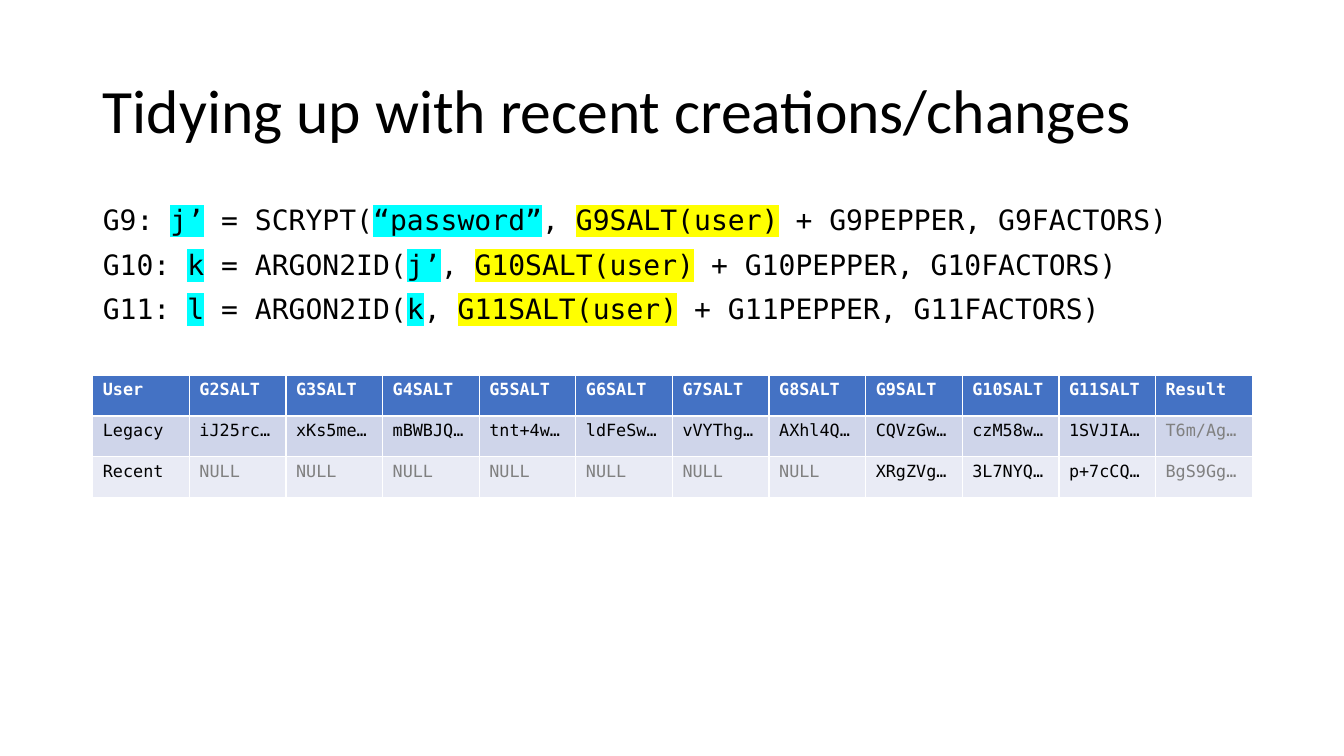
"""Build the slide on password hash generations and the salts kept for each user."""
from lxml import etree
from pptx import Presentation
from pptx import util as u
from pptx.dml.color import RGBColor
from pptx.enum import text
from pptx.oxml.ns import qn

COLORS = {
    "black": "000000", "white": "FFFFFF", "grey": "808080",
    "cyan": "00FFFF", "yellow": "FFFF00",
    "header": "4472C4", "legacy": "CFD5EA", "recent": "E9EBF5",
}
MONO = "DejaVu Sans Mono"
LEFT, WIDTH = u.Inches(0.92), u.Inches(11.5)


def add_run(paragraph, content, size=20, font=MONO, color="black", bold=False, highlight=None):
    run = paragraph.add_run()
    run.text = content
    run.font.size = u.Pt(size)
    run.font.bold = bold
    run.font.color.rgb = RGBColor.from_string(COLORS[color])
    if highlight:
        marker = etree.SubElement(run.font._element, qn("a:highlight"))
        etree.SubElement(marker, qn("a:srgbClr"), val=COLORS[highlight])
    run.font.name = font


presentation = Presentation()
presentation.slide_width, presentation.slide_height = u.Inches(13.33), u.Inches(7.5)
slide = presentation.slides.add_slide(presentation.slide_layouts[1])

title, body = slide.shapes.title, slide.placeholders[1]
for placeholder, top, height, anchor in (
    (title, 0.4, 1.45, text.MSO_ANCHOR.MIDDLE),
    (body, 2, 4.76, text.MSO_ANCHOR.TOP),
):
    placeholder.left, placeholder.top = LEFT, u.Inches(top)
    placeholder.width, placeholder.height = WIDTH, u.Inches(height)
    placeholder.text_frame.auto_size = text.MSO_AUTO_SIZE.NONE
    placeholder.text_frame.vertical_anchor = anchor

heading = title.text_frame.paragraphs[0]
heading.alignment = text.PP_ALIGN.LEFT
heading.line_spacing = 0.9
add_run(heading, "Tidying up with recent creations/changes", size=44, font="Calibri")

generations = [
    ("G9", "j’", "SCRYPT", "“password”"),
    ("G10", "k", "ARGON2ID", "j’"),
    ("G11", "l", "ARGON2ID", "k"),
]
for index, (generation, result, function, secret) in enumerate(generations):
    paragraph = body.text_frame.add_paragraph() if index else body.text_frame.paragraphs[0]
    paragraph.line_spacing = 0.9
    paragraph.space_before = u.Pt(10 if index else 0)
    properties = paragraph._p.get_or_add_pPr()
    properties.set("marL", "0")
    properties.set("indent", "0")
    etree.SubElement(properties, qn("a:buNone"))
    for content, highlight in (
        (f"{generation}: ", None),
        (result, "cyan"),
        (f" = {function}(", None),
        (secret, "cyan"),
        (", ", None),
        (f"{generation}SALT(user)", "yellow"),
        (f" + {generation}PEPPER, {generation}FACTORS)", None),
    ):
        add_run(paragraph, content, highlight=highlight)

rows = {
    "header": ["User", *(f"G{number}SALT" for number in range(2, 12)), "Result"],
    "legacy": ["Legacy", "iJ25rc…", "xKs5me…", "mBWBJQ…", "tnt+4w…", "ldFeSw…", "vVYThg…",
               "AXhl4Q…", "CQVzGw…", "czM58w…", "1SVJIA…", "T6m/Ag…"],
    "recent": ["Recent", *["NULL"] * 7, "XRgZVg…", "3L7NYQ…", "p+7cCQ…", "BgS9Gg…"],
}
column_count = len(rows["header"])
table = slide.shapes.add_table(
    len(rows), column_count, LEFT, u.Inches(3.72), WIDTH, u.Inches(1.22)
).table
for row_index, (kind, values) in enumerate(rows.items()):
    for column_index, value in enumerate(values):
        cell = table.cell(row_index, column_index)
        cell.fill.solid()
        cell.fill.fore_color.rgb = RGBColor.from_string(COLORS[kind])
        is_header = kind == "header"
        is_muted = value == "NULL" or column_index == column_count - 1
        color = "white" if is_header else "grey" if is_muted else "black"
        add_run(cell.text_frame.paragraphs[0], value, size=12, color=color, bold=is_header)

presentation.save("out.pptx")
